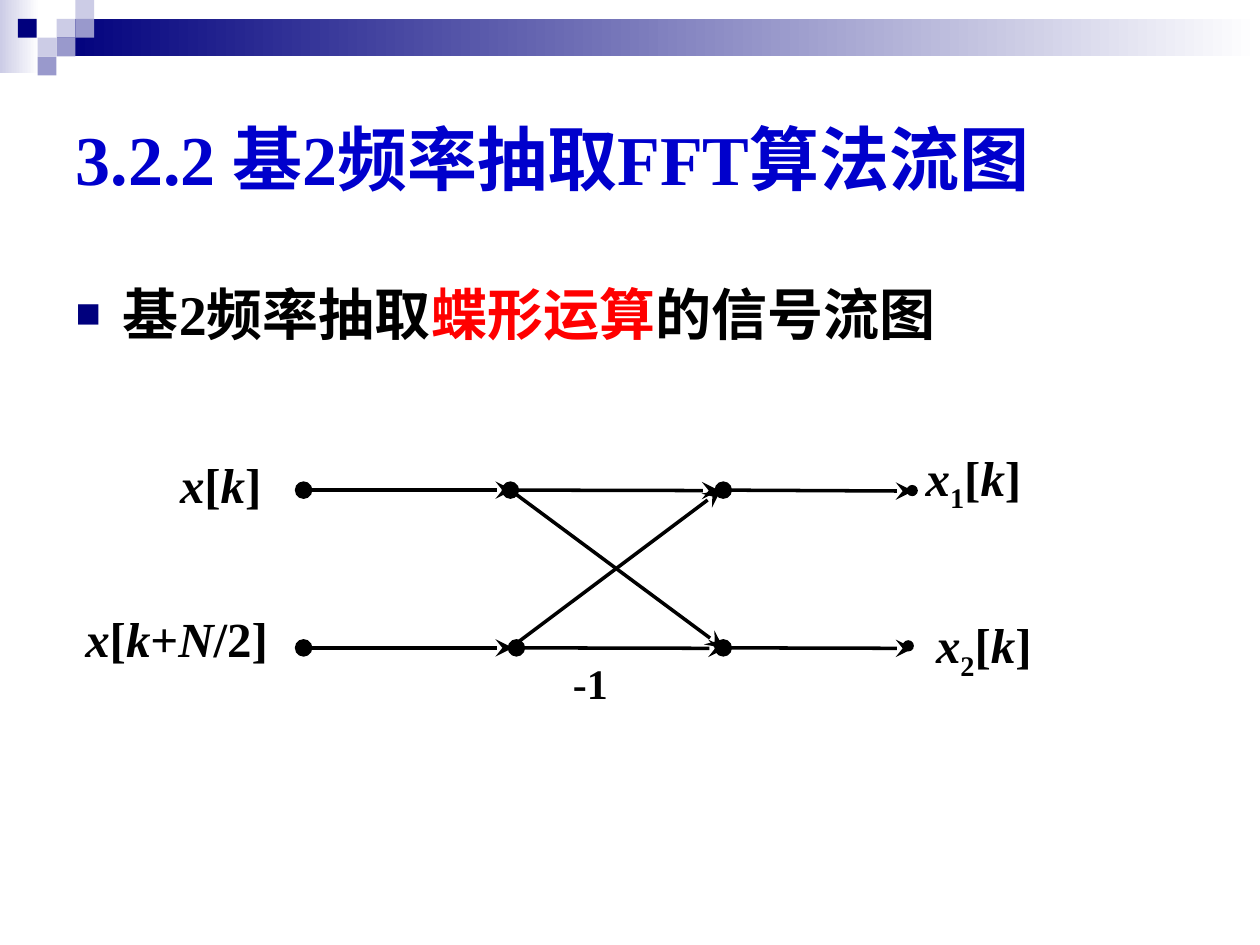
from dataclasses import dataclass

from lxml import etree
from pptx import Presentation
from pptx.dml.color import RGBColor
from pptx.enum.shapes import MSO_CONNECTOR, MSO_SHAPE
from pptx.enum.text import MSO_ANCHOR, MSO_AUTO_SIZE, PP_ALIGN
from pptx.oxml.ns import qn
from pptx.util import Cm, Pt

RECTANGLE, OVAL = MSO_SHAPE.RECTANGLE, MSO_SHAPE.OVAL
STRAIGHT = MSO_CONNECTOR.STRAIGHT
LEFT = PP_ALIGN.LEFT
TOP, MIDDLE = MSO_ANCHOR.TOP, MSO_ANCHOR.MIDDLE
NO_AUTOFIT = MSO_AUTO_SIZE.NONE


@dataclass(frozen=True)
class Theme:
    font: str = "Times New Roman"
    title: str = "0000CC"
    text: str = "000000"
    accent: str = "FF0000"
    navy: str = "00007D"
    violet: str = "9999CC"
    pale: str = "CCCCE6"
    white: str = "FFFFFF"
    title_size: int = 40
    body_size: int = 32
    label_size: int = 28
    gain_size: int = 24
    line_width: float = 2
    dot_line_width: float = 0.75


THEME = Theme()
ITALIC = {"italic": True}
SUBSCRIPT = {"subscript": True}
K_INDEX = [("[", {}), ("k", ITALIC), ("]", {})]

TILE = 0.38
# column, row and colour of each tile, counted from the top left corner
TILES = [
    (3, 1, THEME.pale), (4, 0, THEME.pale), (4, 1, THEME.violet),
    (2, 2, THEME.pale), (0.95, 1, THEME.navy), (3, 2, THEME.violet),
    (2, 3, THEME.violet),
]

UPPER, LOWER = 9.88, 13.06
INPUT, SPLIT, JOIN, OUTPUT = 6.12, 10.29, 14.58, 18.41
# start, end and whether a node dot marks the start
BRANCHES = [
    ((SPLIT, LOWER), (14.53, UPPER), False),
    ((SPLIT, UPPER), (JOIN, LOWER), False),
    ((INPUT, UPPER), (10.34, UPPER), True),
    ((INPUT, LOWER), (10.34, LOWER), True),
    ((SPLIT, UPPER), (14.5, 9.89), True),
    ((10.41, LOWER), (14.63, 13.07), True),
    ((JOIN, LOWER), (OUTPUT, 13.07), True),
    ((JOIN, UPPER), (OUTPUT, 9.9), True),
]
OUTPUT_DOTS = [(18.21, 12.92), (18.29, 9.79)]
DOT_SIZE = 0.2

# left, top, width, height, text size, runs
LABELS = [
    (3.38, 9.04, 2.49, 1.45, THEME.label_size, [("x", ITALIC)] + K_INDEX),
    (1.47, 12.14, 4.39, 1.45, THEME.label_size,
     [("x", ITALIC), ("[", {}), ("k", ITALIC), ("+", {}), ("N", ITALIC), ("/2]", {})]),
    (18.41, 8.89, 2.84, 1.45, THEME.label_size,
     [("x", ITALIC), ("1", SUBSCRIPT)] + K_INDEX),
    (18.62, 12.27, 5.28, 1.45, THEME.label_size,
     [("x", ITALIC), ("2", SUBSCRIPT)] + K_INDEX),
    (11.3, 13.13, 1.4, 1.27, THEME.gain_size, [("-1", {})]),
]


def rgb(value):
    return RGBColor.from_string(value)


def set_attributes(target, values):
    for name, value in values.items():
        setattr(target, name, value)


def write_runs(paragraph, runs, size, color):
    for text, style in runs:
        run = paragraph.add_run()
        run.text = text
        set_attributes(run.font, {
            "name": THEME.font, "size": Pt(size), "bold": True,
            "italic": style.get("italic", False),
        })
        run.font.color.rgb = rgb(style.get("color", color))
        if style.get("subscript"):
            run.font._element.set("baseline", "-25000")


def add_block(slide, kind, box, color, fade_to=None, line_width=None):
    shape = slide.shapes.add_shape(kind, *map(Cm, box))
    shape.shadow.inherit = False
    if fade_to:
        shape.fill.gradient()
        shape.fill.gradient_angle = 0
        for stop, value in zip(shape.fill.gradient_stops, (color, fade_to)):
            stop.color.rgb = rgb(value)
    else:
        shape.fill.solid()
        shape.fill.fore_color.rgb = rgb(color)
    if line_width:
        shape.line.color.rgb = rgb(color)
        shape.line.width = Pt(line_width)
    else:
        shape.line.fill.background()


def add_header(slide):
    add_block(slide, RECTANGLE, (0, 0, 0.79, 1.47), THEME.pale, THEME.white)
    add_block(slide, RECTANGLE, (3 * TILE, TILE, 24.26, 2 * TILE), THEME.navy, THEME.white)
    for column, row, color in TILES:
        add_block(slide, RECTANGLE, (column * TILE, row * TILE, TILE, TILE), color)


def add_branch(slide, start, end, has_node):
    """Draw an arrow of the flow graph, with a node dot at its start if asked."""
    connector = slide.shapes.add_connector(STRAIGHT, *map(Cm, start + end))
    connector.line.color.rgb = rgb(THEME.text)
    connector.line.width = Pt(THEME.line_width)
    line = connector.line._get_or_add_ln()
    ends = [("a:headEnd", "oval")] if has_node else []
    for tag, kind in ends + [("a:tailEnd", "stealth")]:
        etree.SubElement(line, qn(tag), type=kind, w="lg", len="lg")
    etree.SubElement(connector._element.spPr, qn("a:effectLst"))


def add_label(slide, left, top, width, height, size, runs):
    box = slide.shapes.add_textbox(*map(Cm, (left, top, width, height)))
    box.text_frame.word_wrap = True
    write_runs(box.text_frame.paragraphs[0], runs, size, THEME.text)


def fill_placeholder(shape, box, anchor, runs, size, color):
    set_attributes(shape, dict(zip(("left", "top", "width", "height"), map(Cm, box))))
    set_attributes(shape.text_frame, {
        "vertical_anchor": anchor, "word_wrap": True, "auto_size": NO_AUTOFIT,
    })
    paragraph = shape.text_frame.paragraphs[0]
    set_attributes(paragraph, {"alignment": LEFT, "space_before": Pt(0)})
    write_runs(paragraph, runs, size, color)
    return paragraph


def add_bullet(paragraph):
    properties = paragraph._p.get_or_add_pPr()
    properties.set("marL", str(Cm(0.95)))
    properties.set("indent", str(Cm(-0.95)))
    color = etree.SubElement(properties, qn("a:buClr"))
    etree.SubElement(color, qn("a:srgbClr"), val=THEME.navy)
    etree.SubElement(properties, qn("a:buSzPct"), val="75000")
    etree.SubElement(properties, qn("a:buChar"), char="■")


def main():
    presentation = Presentation()
    presentation.slide_width, presentation.slide_height = Cm(25.4), Cm(19.05)
    slide = presentation.slides.add_slide(presentation.slide_layouts[1])

    add_header(slide)
    fill_placeholder(
        slide.shapes.title, (1.27, 1.27, 22.86, 3.81), MIDDLE,
        [("3.2.2 基2频率抽取FFT算法流图", {})], THEME.title_size, THEME.title)
    bullet = fill_placeholder(
        slide.placeholders[1], (1.27, 5.51, 22.86, 10.8), TOP,
        [("基2频率抽取", {}), ("蝶形运算", {"color": THEME.accent}), ("的信号流图", {})],
        THEME.body_size, THEME.text)
    add_bullet(bullet)

    for branch in BRANCHES:
        add_branch(slide, *branch)
    for left, top in OUTPUT_DOTS:
        add_block(slide, OVAL, (left, top, DOT_SIZE, DOT_SIZE), THEME.text,
                  line_width=THEME.dot_line_width)
    for label in LABELS:
        add_label(slide, *label)

    presentation.save("out.pptx")


if __name__ == "__main__":
    main()
